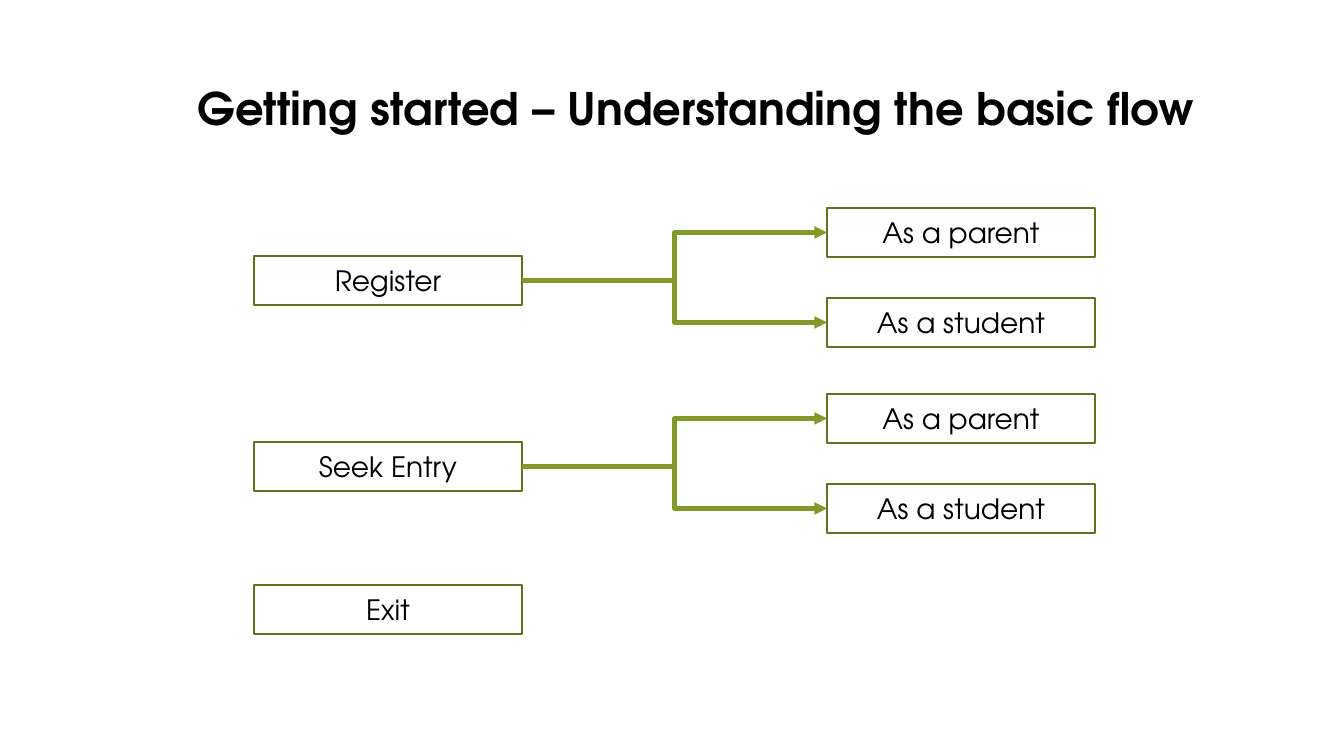
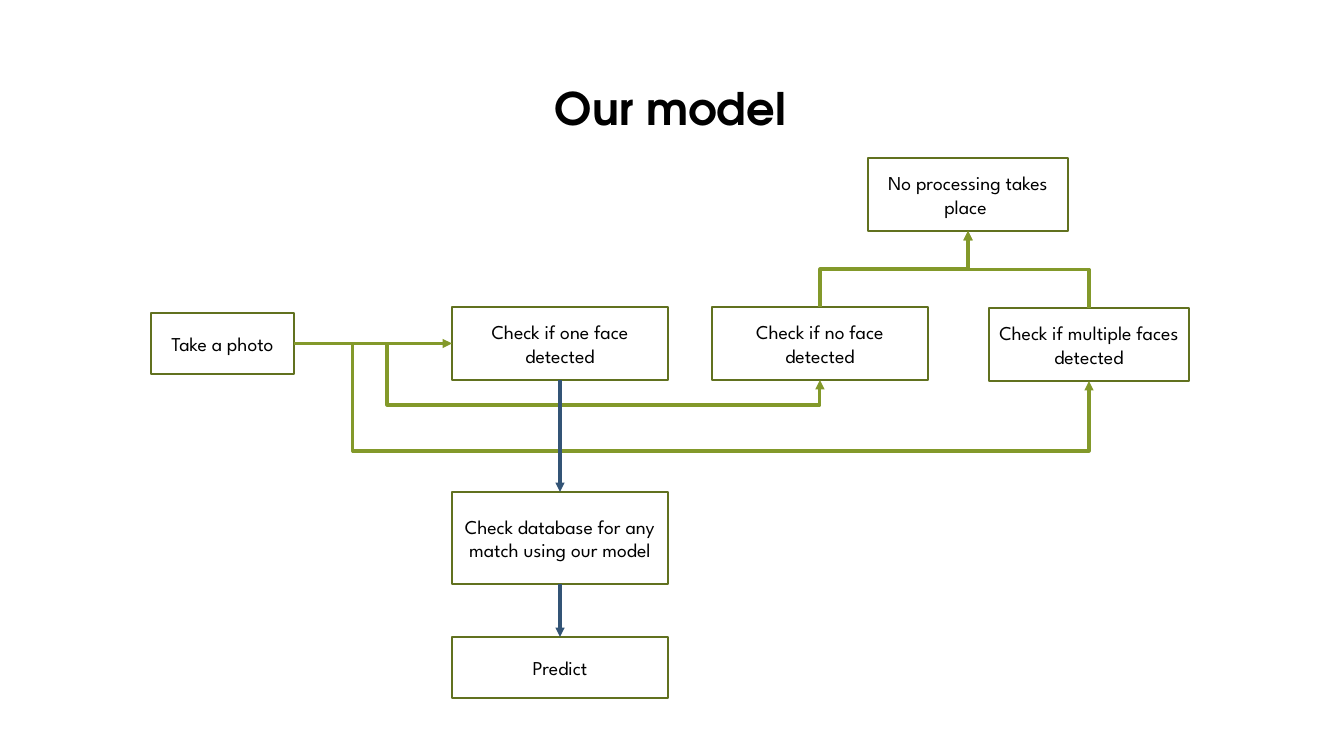
import pptx
import pptx.util
import pptx.dml.color
import pptx.enum.shapes
import pptx.enum.text
import pptx.oxml.ns
import lxml.etree

PX = 9144000 / 1008  # EMU in one px
WIDE, HIGH = 1344, 756
HEAD, BODY = "TeX Gyre Adventor", "League Spartan"
BLACK, EDGE, GREEN, BLUE = "000000", "61711F", "83992A", "335476"
TOP, LEFT, BASE, RIGHT = range(4)  # connection sites of a rectangle
KIND = pptx.enum.shapes.MSO_CONNECTOR


def px(n):
    return pptx.util.Emu(round(n * PX))


def paint(hue):
    return pptx.dml.color.RGBColor.from_string(hue)


def child(node, tag, **attrs):
    return lxml.etree.SubElement(node, pptx.oxml.ns.qn(tag), attrs)


def write(frame, text, font=BODY, size=14, bold=False, anchor="MIDDLE"):
    frame.word_wrap = True
    frame.vertical_anchor = pptx.enum.text.MSO_ANCHOR[anchor]
    para = frame.paragraphs[0]
    para.alignment = pptx.enum.text.PP_ALIGN.CENTER
    run = para.add_run()
    run.text = text
    run.font.name, run.font.size = font, pptx.util.Pt(size)
    run.font.bold = bold
    run.font.color.rgb = paint(BLACK)


def start(deck, text, left):
    """Add a slide with its title."""
    slide = deck.slides.add_slide(deck.slide_layouts[5])
    title = slide.shapes.title
    title.left, title.top = px(left), px(76)
    title.width, title.height = px(1037), px(65)
    write(title.text_frame, text, font=HEAD, size=32, bold=True, anchor="TOP")
    title.text_frame.auto_size = pptx.enum.text.MSO_AUTO_SIZE.SHAPE_TO_FIT_TEXT
    return slide


def box(slide, text, x, y, w, h, **style):
    shape = slide.shapes.add_shape(
        pptx.enum.shapes.MSO_SHAPE.RECTANGLE, px(x), px(y), px(w), px(h))
    shape.shadow.inherit = False
    shape.fill.background()
    shape.line.color.rgb = paint(EDGE)
    shape.line.width = pptx.util.Pt(1.25)
    write(shape.text_frame, text, **style)
    return shape


def link(slide, a, out, b, into, kind=KIND.STRAIGHT, hue=GREEN, width=2.25):
    """Join side out of box a to side into of box b by an arrow."""
    line = slide.shapes.add_connector(kind, 0, 0, 0, 0)
    line.begin_connect(a, out)
    line.end_connect(b, into)
    line.line.color.rgb = paint(hue)
    line.line.width = pptx.util.Pt(width)
    child(line.line._get_or_add_ln(), "a:tailEnd", type="triangle")
    child(line._element.spPr, "a:effectLst")
    return line


def detour(slide, a, b, x, y):
    """Leave a sideways, turn at x, pass along y, and enter b from below."""
    line = link(slide, a, RIGHT, b, BASE, KIND.ELBOW)
    geom = line._element.spPr.find(pptx.oxml.ns.qn("a:prstGeom"))
    geom.set("prst", "bentConnector4")
    guides = geom.find(pptx.oxml.ns.qn("a:avLst"))
    if guides is None:
        guides = child(geom, "a:avLst")
    shares = ((px(x) - line.begin_x) / line.width,
              (px(y) - line.begin_y) / line.height)
    for i, share in enumerate(shares, 1):
        child(guides, "a:gd", name=f"adj{i}", fmla=f"val {round(share * 100000)}")


def rise(slide, a, b):
    """Leave the top of a, turn half way, and enter b from below."""
    line = link(slide, a, TOP, b, BASE, KIND.ELBOW)
    right = line.end_x > line.begin_x
    x, y, w, h = line.left, line.top, line.width, line.height
    # The frame lies on its side, so it is turned about its centre
    line.left, line.top = x + (w - h) // 2, y + (h - w) // 2
    line.width, line.height = h, w
    form = line._element.spPr.xfrm
    form.set("rot", "5400000" if right else "16200000")
    form.set("flipH", "1" if right else "0")
    form.set("flipV", "1")


def flow(deck):
    slide = start(deck, "Getting started – Understanding the basic flow", 178)

    def step(text, x, y):
        return box(slide, text, x, y, 268, 49, font=HEAD, size=20)

    near, far = 254, 827
    for text, y in (("Register", 256), ("Seek Entry", 442)):
        root = step(text, near, y)
        for role, shift in (("As a parent", -48), ("As a student", 42)):
            leaf = step(role, far, y + shift)
            link(slide, root, RIGHT, leaf, LEFT, KIND.ELBOW, width=3)
    step("Exit", near, 585)


def model(deck):
    slide = start(deck, "Our model", 152)
    # Boxes
    photo = box(slide, "Take a photo", 151, 313, 143, 61)
    one = box(slide, "Check if one face detected", 452, 307, 216, 73)
    none = box(slide, "Check if no face detected", 712, 307, 216, 73)
    many = box(slide, "Check if multiple faces detected", 989, 308, 200, 73)
    stop = box(slide, "No processing takes place ", 868, 158, 200, 73)
    match = box(slide, "Check database for any match using our model",
                452, 492, 216, 92)
    guess = box(slide, "Predict", 452, 637, 216, 61)
    # Arrows
    link(slide, photo, RIGHT, one, LEFT)
    detour(slide, photo, many, 353, 451)
    detour(slide, photo, none, 387, 405)
    for a, b in ((one, match), (match, guess)):
        link(slide, a, BASE, b, TOP, hue=BLUE)
    for check in (none, many):
        rise(slide, check, stop)


def main():
    deck = pptx.Presentation()
    deck.slide_width, deck.slide_height = px(WIDE), px(HIGH)
    flow(deck)
    model(deck)
    deck.save("out.pptx")


if __name__ == "__main__":
    main()
